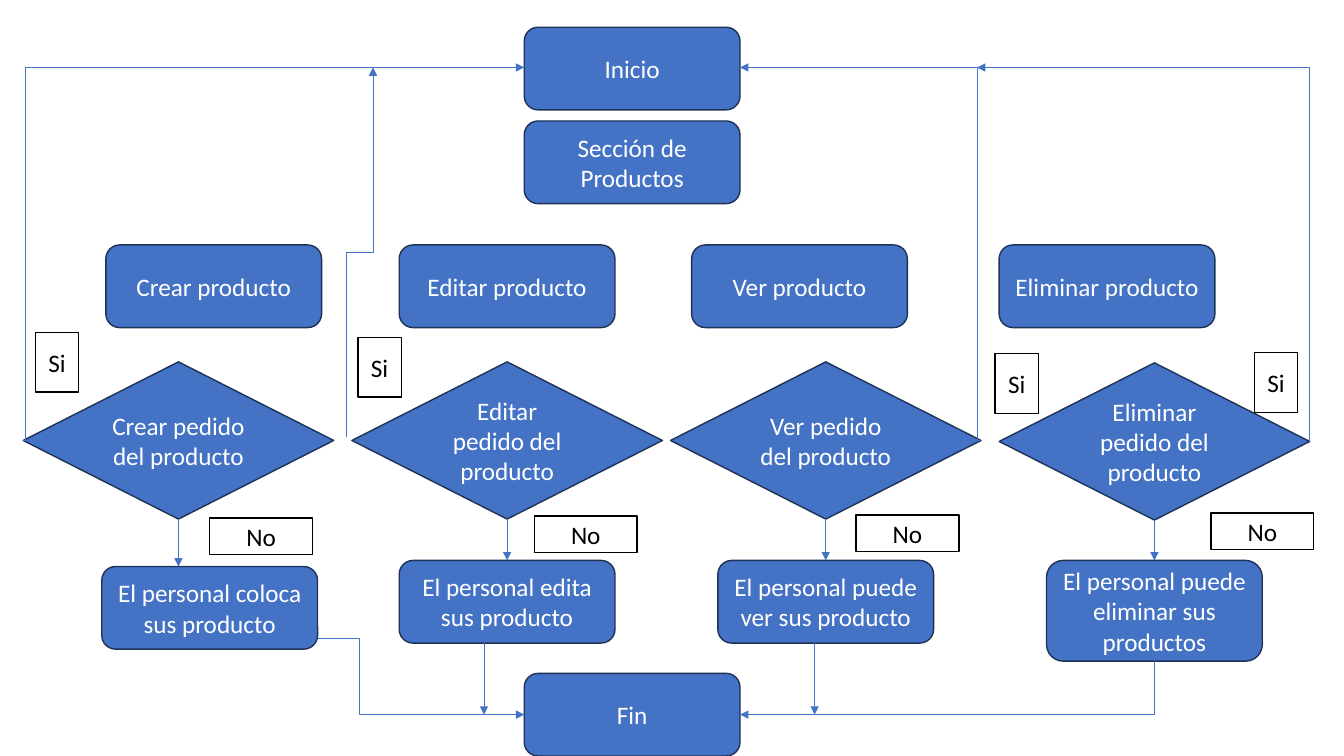
from pptx import Presentation
from pptx.dml.color import RGBColor
from pptx.enum.shapes import MSO_CONNECTOR, MSO_SHAPE
from pptx.enum.text import MSO_ANCHOR, PP_ALIGN
from pptx.oxml.ns import qn
from pptx.oxml.xmlchemy import OxmlElement
from pptx.util import Inches, Pt

PROCESS = MSO_SHAPE.FLOWCHART_ALTERNATE_PROCESS
DECISION = MSO_SHAPE.FLOWCHART_DECISION
RECTANGLE = MSO_SHAPE.RECTANGLE
STRAIGHT = MSO_CONNECTOR.STRAIGHT
ELBOW = MSO_CONNECTOR.ELBOW
TOP, BOTTOM = 0, 2

COLORS = {"blue": "4472C4", "navy": "1E3256", "white": "FFFFFF", "black": "000000"}
PROCESS_SIZE = (2.14, 0.82)
TALL_SIZE = (2.14, 1)
DECISION_SIZE = (3.08, 1.56)
YES_SIZE = (0.43, 0.59)
NO_SIZE = (1.02, 0.36)
OPTION_TOP = 2.43
START_LEVEL, END_LEVEL = 0.67, 7.09

MAIN_STEPS = [("Inicio", 0.27), ("Fin", 6.68), ("Sección de Productos", 1.2)]
OPTIONS = [
    ("Crear producto", 1.05),
    ("Editar producto", 3.96),
    ("Ver producto", 6.86),
    ("Eliminar producto", 9.91),
]
# Each branch: question, its place, result, its place, its size, arrow joined to its top.
BRANCHES = [
    ("Crear pedido del producto", (0.23, 3.59),
     "El personal coloca sus producto", (1.01, 5.62), PROCESS_SIZE, False),
    ("Editar pedido del producto", (3.49, 3.59),
     "El personal edita sus producto", (3.96, 5.56), PROCESS_SIZE, True),
    ("Ver pedido del producto", (6.65, 3.59),
     "El personal puede ver sus producto", (7.12, 5.56), PROCESS_SIZE, True),
    ("Eliminar pedido del producto", (9.91, 3.6),
     "El personal puede eliminar sus productos", (10.38, 5.56), TALL_SIZE, True),
]
YES_PLACES = [(0.35, 3.3), (3.55, 3.35), (9.87, 3.51), (12.44, 3.5)]
NO_PLACES = [(2.08, 5.14), (5.3, 5.12), (8.49, 5.11), (12.01, 5.09)]


def color(name):
    """Return the named colour."""
    return RGBColor.from_string(COLORS[name])


def add_box(page, kind, place, size, text, fill="blue", outline="navy", ink="white"):
    """Add a filled shape with centred text."""
    box = page.shapes.add_shape(kind, *map(Inches, place + size))
    box.shadow.inherit = False
    box.fill.solid()
    box.fill.fore_color.rgb = color(fill)
    box.line.color.rgb = color(outline)
    box.line.width = Pt(1)
    frame = box.text_frame
    frame.word_wrap = True
    frame.vertical_anchor = MSO_ANCHOR.MIDDLE
    para = frame.paragraphs[0]
    para.text = text
    para.alignment = PP_ALIGN.CENTER
    para.font.name = "Calibri"
    para.font.size = Pt(18)
    para.font.color.rgb = color(ink)
    return box


def add_label(page, place, size, text):
    """Add a white answer label."""
    add_box(page, RECTANGLE, place, size, text, "white", "black", "black")


def add_arrow(page, start, end, kind=STRAIGHT):
    """Add a thin connector with an arrowhead at its end."""
    arrow = page.shapes.add_connector(kind, *map(Inches, start + end))
    arrow.line.color.rgb = color("blue")
    arrow.line.width = Pt(0.5)
    properties = arrow._element.spPr
    head = OxmlElement("a:tailEnd")
    head.set("type", "triangle")
    properties.find(qn("a:ln")).append(head)
    properties.append(OxmlElement("a:effectLst"))
    return arrow


def add_elbow(page, start, end, bend):
    """Add a three-part arrow that leaves sideways and turns at a share of its width."""
    arrow = add_arrow(page, start, end, ELBOW)
    guide = OxmlElement("a:gd")
    guide.set("name", "adj1")
    guide.set("fmla", f"val {round(bend * 100000)}")
    geometry = arrow._element.spPr.find(qn("a:prstGeom"))
    geometry.get_or_add_avLst().append(guide)
    return arrow


def add_upright_elbow(page, start, end, bend):
    """Add an elbow arrow that leaves vertically, by a quarter turn about its centre."""
    center_x, center_y = (start[0] + end[0]) / 2, (start[1] + end[1]) / 2
    across, down = start[0] - center_x, start[1] - center_y
    arrow = add_elbow(page, (center_x + down, center_y - across),
                      (center_x - down, center_y + across), bend)
    arrow._element.spPr.find(qn("a:xfrm")).set("rot", str(90 * 60000))
    return arrow


def add_corner(page, start, end):
    """Add an arrow that leaves vertically and turns once."""
    arrow = add_upright_elbow(page, start, end, 1)
    geometry = arrow._element.spPr.find(qn("a:prstGeom"))
    geometry.set("prst", "bentConnector2")
    geometry.remove(geometry.find(qn("a:avLst")))


def add_branch(page, question, place, answer, answer_place, answer_size, joined):
    """Add a decision, its result and the arrow between them."""
    decision = add_box(page, DECISION, place, DECISION_SIZE, question)
    result = add_box(page, PROCESS, answer_place, answer_size, answer)
    middle = place[0] + DECISION_SIZE[0] / 2
    arrow = add_arrow(page, (middle, place[1] + DECISION_SIZE[1]),
                      (middle, answer_place[1]))
    arrow.begin_connect(decision, BOTTOM)
    if joined:
        arrow.end_connect(result, TOP)


def add_routes(page):
    """Add the arrows back to the start and on to the end."""
    add_elbow(page, (0.23, 4.37), (5.2, START_LEVEL), 0.004)
    add_upright_elbow(page, (3.44, 4.34), (3.7, START_LEVEL), 0.5)
    add_elbow(page, (9.72, 4.37), (7.34, START_LEVEL), 0.013)
    add_upright_elbow(page, (12.99, 4.39), (9.69, START_LEVEL), 1)
    add_elbow(page, (3.15, 6.33), (5.2, END_LEVEL), 0.2)
    add_corner(page, (11.45, 6.56), (7.34, END_LEVEL))
    for left in (4.8, 8.08):
        add_arrow(page, (left, 6.38), (left, END_LEVEL))


def main():
    """Build the product flowchart."""
    deck = Presentation()
    deck.slide_width, deck.slide_height = Inches(13.33), Inches(7.5)
    page = deck.slides.add_slide(deck.slide_layouts[6])
    for text, top in MAIN_STEPS:
        add_box(page, PROCESS, (5.2, top), PROCESS_SIZE, text)
    for text, left in OPTIONS:
        add_box(page, PROCESS, (left, OPTION_TOP), PROCESS_SIZE, text)
    for branch in BRANCHES:
        add_branch(page, *branch)
    add_routes(page)
    for place in YES_PLACES:
        add_label(page, place, YES_SIZE, "Si")
    for place in NO_PLACES:
        add_label(page, place, NO_SIZE, "No")
    deck.save("out.pptx")


if __name__ == "__main__":
    main()
